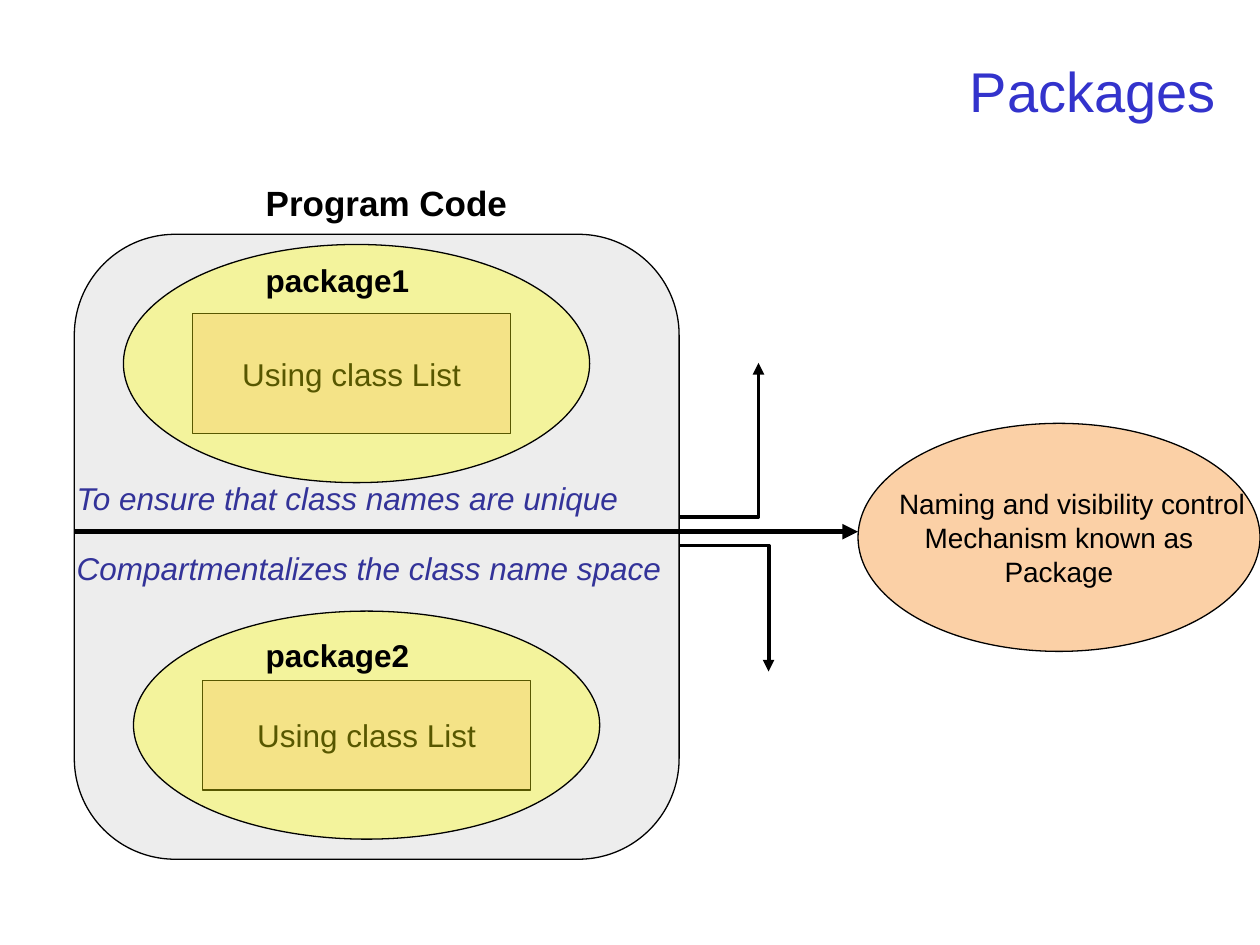
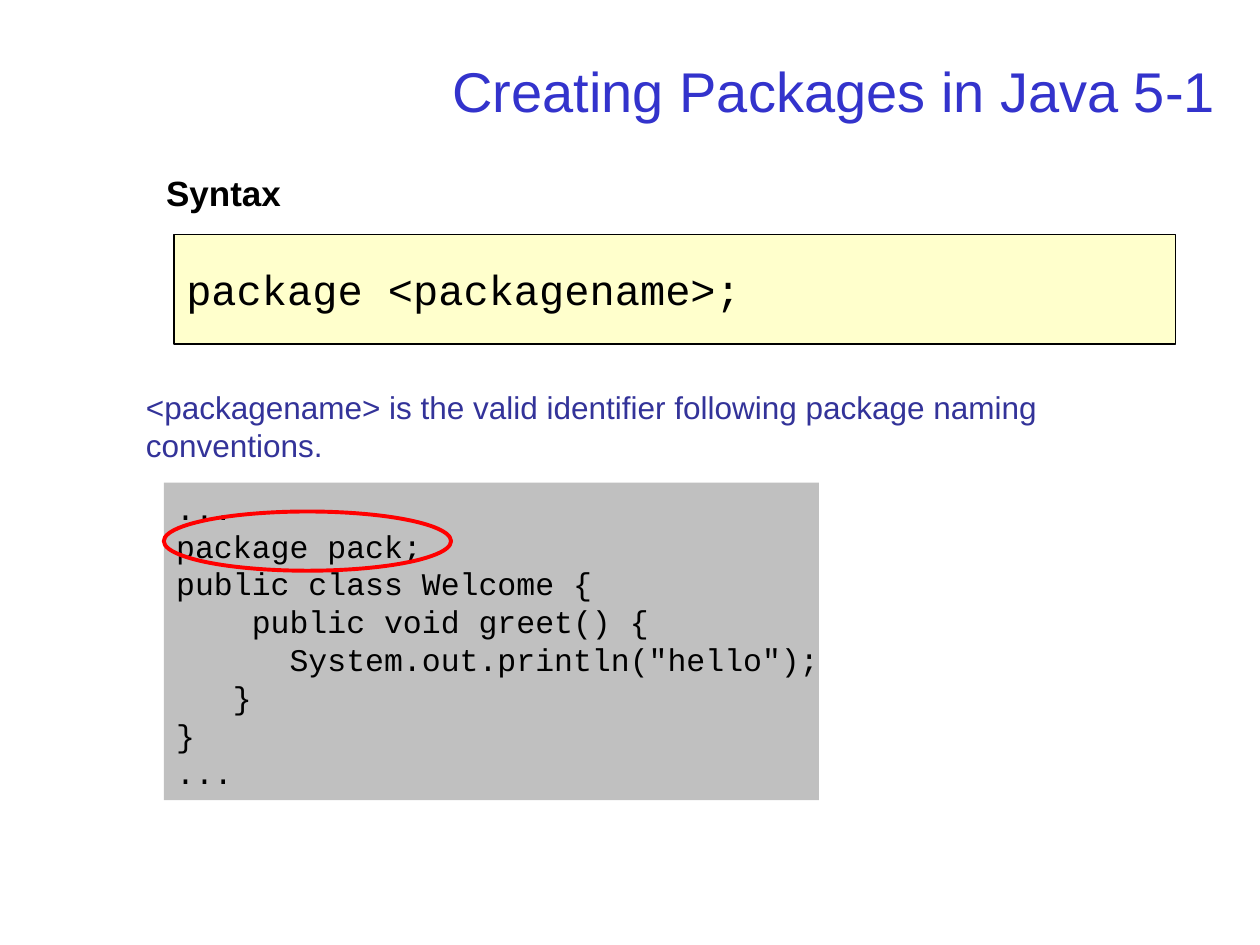
from pptx import Presentation
from pptx.dml.color import RGBColor
from pptx.enum.shapes import MSO_CONNECTOR as Link, MSO_SHAPE as Kind
from pptx.enum.text import MSO_ANCHOR as Anchor, PP_ALIGN as Align
from pptx.oxml.ns import qn
from pptx.oxml.xmlchemy import OxmlElement as Node
from pptx.util import Inches, Pt

COLS, ROWS = 100, 75
CELL = Inches(10) // COLS
BLACK, TITLE, NOTE = "000000", "3333CC", "333399"
YELLOW, ROSE = "FFFF00", "F3B6A1"
SANS, MONO = "Arial", "Courier New"
CODE = """...
package pack;
public class Welcome {
    public void greet() {
      System.out.println("hello");
   }
}
..."""


def grid(*cells):
    """Turn grid cells into lengths."""
    return [round(n * CELL) for n in cells]


def tint(text):
    """Turn a hex string into a colour."""
    return RGBColor.from_string(text)


def write(shape, text, size=18, font=SANS, color=BLACK, bold=False,
          italic=False, align=Align.LEFT, anchor=Anchor.TOP, wrap=True):
    """Fill a shape with one paragraph per line of text."""
    frame = shape.text_frame
    frame.word_wrap = wrap
    frame.vertical_anchor = anchor
    frame.text = text
    for para in frame.paragraphs:
        para.alignment = align
        face = para.font
        face.name, face.size = font, Pt(size)
        face.bold, face.italic = bold, italic
        face.color.rgb = tint(color)
    return frame


def label(slide, box, text, **style):
    """Add a text box."""
    return write(slide.shapes.add_textbox(*grid(*box)), text, **style)


def block(slide, kind, box, fill=None, alpha=100, line=BLACK, width=0.75):
    """Add a preset shape with an optional see-through fill."""
    shape = slide.shapes.add_shape(kind, *grid(*box))
    shape.shadow.inherit = False
    if fill:
        shape.fill.solid()
        shape.fill.fore_color.rgb = tint(fill)
        if alpha < 100:
            node = Node("a:alpha")
            node.set("val", str(alpha * 1000))
            shape.element.spPr.find(qn("a:solidFill"))[0].append(node)
    else:
        shape.fill.background()
    if line:
        shape.line.color.rgb = tint(line)
        shape.line.width = Pt(width)
    else:
        shape.line.fill.background()
    return shape


def wire(slide, ends, width=3, arrow=True, bent=False):
    """Add a straight line or a single-corner arrow."""
    kind = Link.ELBOW if bent else Link.STRAIGHT
    link = slide.shapes.add_connector(kind, *grid(*ends))
    link.line.color.rgb = tint(BLACK)
    link.line.width = Pt(width)
    props = link.element.spPr
    if bent:
        props.find(qn("a:prstGeom")).set("prst", "bentConnector2")
    if arrow:
        tip = Node("a:tailEnd")
        tip.set("type", "triangle")
        props.find(qn("a:ln")).append(tip)
    props.append(Node("a:effectLst"))


def page(deck, title):
    """Add a blank slide with its title."""
    slide = deck.slides.add_slide(deck.slide_layouts[6])
    label(slide, (7.5, 2.8, 90, 8.7), title, size=32, color=TITLE,
          align=Align.RIGHT, anchor=Anchor.MIDDLE)
    return slide


def pack(slide, name, top, oval, card):
    """Add a package oval over its class card, with its name."""
    shape = block(slide, Kind.RECTANGLE, card, ROSE, 42)
    write(shape, "Using class List", align=Align.CENTER,
          anchor=Anchor.MIDDLE, wrap=False)
    block(slide, Kind.OVAL, oval, YELLOW, 34)
    label(slide, (20.1, top, 18.1, 4), name, bold=True)


def scheme(deck):
    """Build the slide that shows what packages do."""
    slide = page(deck, "Packages")
    block(slide, Kind.FLOWCHART_ALTERNATE_PROCESS, (5.9, 18.6, 48, 49.6),
          "DDDDDD", 52)
    label(slide, (20.1, 13.9, 25.2, 4.4), "Program Code", size=20, bold=True)
    pack(slide, "package1", 20.2, (9.8, 19.4, 37, 18.9),
         (15.3, 24.9, 25.2, 9.5))
    pack(slide, "package2", 50, (10.6, 48.5, 37, 18.1),
         (16.1, 54, 26, 8.7))
    wire(slide, (5.9, 42.2, 53.9, 42.2), arrow=False)
    wire(slide, (53.9, 42.2, 68.1, 42.2))
    wire(slide, (53.9, 41, 60.2, 28.8), width=2.25, bent=True)
    wire(slide, (53.9, 43.3, 61, 53.3), width=2.25, bent=True)
    goal = block(slide, Kind.OVAL, (68.1, 33.6, 31.9, 18.1), "F9B979", 66)
    frame = write(goal, "Naming and visibility control\n"
                  "Mechanism known as\nPackage", size=16,
                  align=Align.CENTER, anchor=Anchor.MIDDLE, wrap=False)
    frame.paragraphs[0]._p.get_or_add_pPr().set("marL", str(Pt(15)))
    label(slide, (5.1, 37.5, 48, 4), "To ensure that class names are unique",
          color=NOTE, italic=True)
    label(slide, (5.1, 43.1, 48.4, 4),
          "Compartmentalizes the class name space",
          color=NOTE, italic=True, wrap=False)


def syntax(deck):
    """Build the slide on the package statement."""
    slide = page(deck, "Creating Packages in Java 5-1")
    label(slide, (12.2, 13.1, 26.7, 4.4), "Syntax", size=20, bold=True)
    rule = block(slide, Kind.RECTANGLE, (13.8, 18.6, 79.5, 8.7), "FFFFCC")
    write(rule, "package <packagename>;", size=24, font=MONO,
          anchor=Anchor.MIDDLE)
    code = block(slide, Kind.RECTANGLE, (13, 38.3, 52, 25.2), "C0C0C0",
                 line=None)
    write(code, CODE, font=MONO, wrap=False)
    label(slide, (10.6, 30.3, 87.4, 7), "<packagename> is the valid "
          "identifier following package naming conventions.", color=NOTE)
    block(slide, Kind.OVAL, (13, 40.6, 22.8, 4.7), line="FF0000", width=2.25)


def main():
    """Build and save the deck."""
    deck = Presentation()
    deck.slide_width, deck.slide_height = grid(COLS, ROWS)
    scheme(deck)
    syntax(deck)
    deck.save("out.pptx")


if __name__ == "__main__":
    main()
